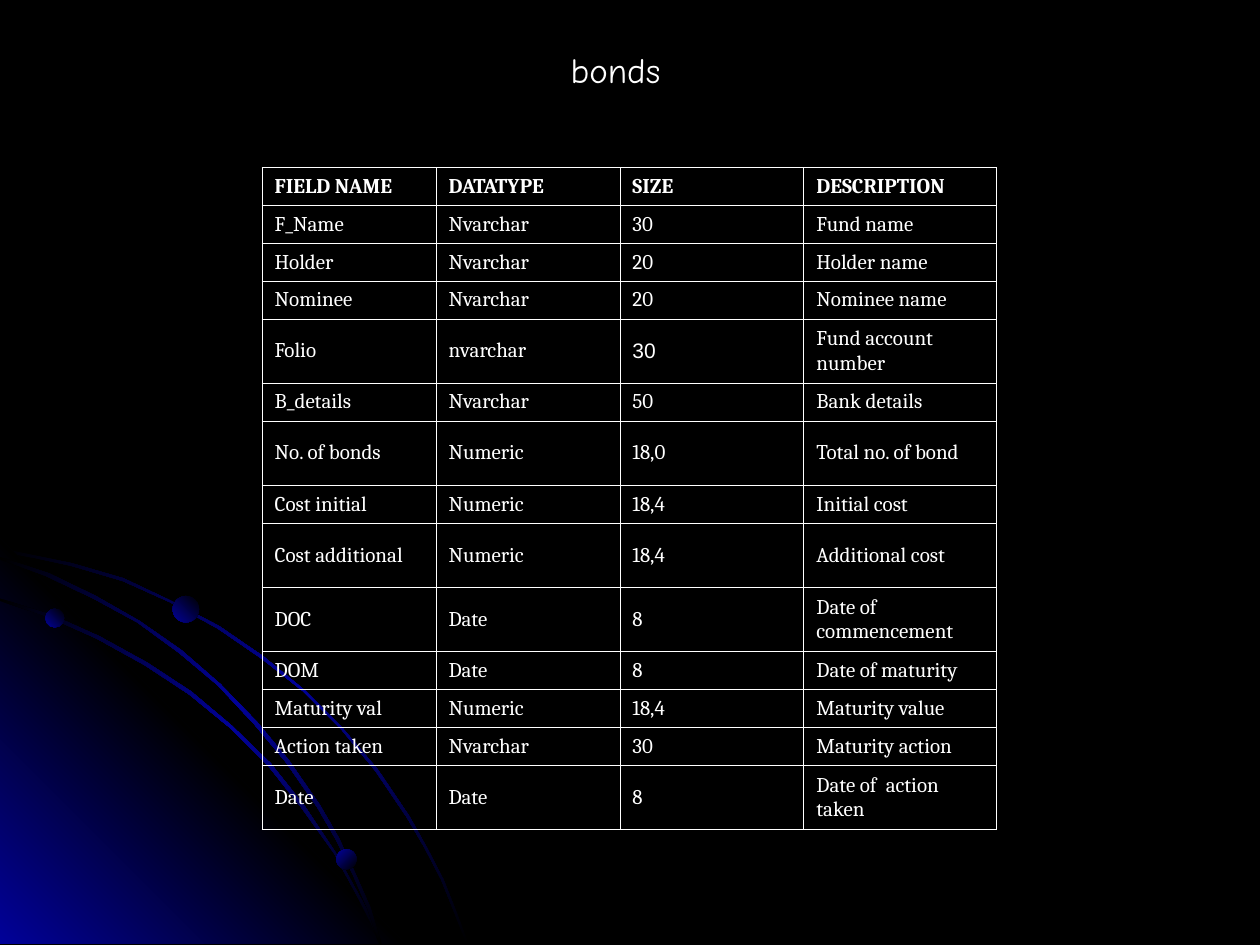
from dataclasses import dataclass

from lxml.etree import SubElement
from pptx import Presentation
from pptx.dml.color import RGBColor
from pptx.enum.shapes import MSO_SHAPE
from pptx.enum.text import MSO_ANCHOR, MSO_AUTO_SIZE
from pptx.oxml.ns import qn
from pptx.util import Inches, Pt


@dataclass(frozen=True)
class Theme:
    black: str = "000000"
    blue: str = "010199"
    white: str = "FFFFFF"
    title_font: str = "Comic Neue"
    table_font: str = "Cambria"
    number_font: str = "Arial"
    title_size: Pt = Pt(20)
    table_size: Pt = Pt(12)
    border_width: Pt = Pt(0.45)


THEME = Theme()
ARC_STOPS = [(0, THEME.black), (50, THEME.blue), (100, THEME.black)]
GLOW_STOPS = [(0, THEME.blue), (50, THEME.black), (100, THEME.blue)]
BEAD_STOPS = [(0, THEME.black), (100, THEME.blue)]

# Outlines are in hundredths of an inch.
GLOW = [(322, 749), (0, 749), (0, 427)]
OUTER_ARC = [
    (57, 447), (28, 441), (0, 435), (0, 438), (28, 443), (56, 449), (97, 461),
    (135, 478), (173, 499), (208, 523), (241, 549), (271, 579), (298, 612),
    (323, 649), (337, 673), (350, 698), (360, 723), (370, 749), (372, 749),
    (362, 723), (352, 698), (339, 673), (325, 648), (300, 611), (272, 578),
    (242, 548), (209, 521), (174, 497), (136, 477), (98, 459),
]
INNER_ARC = [
    (285, 714), (294, 732), (301, 749), (303, 749), (296, 730), (286, 712),
    (266, 676), (242, 640), (215, 606), (184, 576), (152, 549), (117, 526),
    (79, 505), (41, 488), (0, 475), (0, 477), (39, 490), (77, 507),
    (115, 528), (150, 551), (183, 578), (213, 608), (240, 642), (265, 677),
]
MIDDLE_ARC = [
    (0, 442), (0, 444), (36, 457), (74, 475), (109, 494), (142, 518),
    (173, 544), (202, 575), (227, 605), (252, 641), (267, 667), (280, 694),
    (292, 722), (301, 749), (303, 749), (294, 720), (282, 693), (269, 665),
    (254, 639), (229, 603), (204, 573), (175, 543), (144, 516), (111, 493),
    (76, 473), (39, 455),
]
OUTLINES = [
    (OUTER_ARC, ARC_STOPS, 225),
    (GLOW, GLOW_STOPS, 135),
    (INNER_ARC, ARC_STOPS, 225),
    (MIDDLE_ARC, ARC_STOPS, 225),
]
BEADS = [  # left, top, diameter, gradient angle
    (0.36, 4.83, 0.15, 135),
    (2.67, 6.74, 0.16, 225),
    (1.37, 4.73, 0.21, 135),
]

FIELDS = [
    ("FIELD NAME", "DATATYPE", "SIZE", "DESCRIPTION"),
    ("F_Name", "Nvarchar", "30", "Fund name"),
    ("Holder", "Nvarchar", "20", "Holder name"),
    ("Nominee", "Nvarchar", "20", "Nominee name"),
    ("Folio", "nvarchar", "30", "Fund account number"),
    ("B_details", "Nvarchar", "50", "Bank details"),
    ("No. of bonds", "Numeric", "18,0", "Total no. of bond"),
    ("Cost initial", "Numeric", "18,4", "Initial cost"),
    ("Cost additional", "Numeric", "18,4", "Additional cost"),
    ("DOC", "Date", "8", "Date of commencement"),
    ("DOM", "Date", "8", "Date of maturity"),
    ("Maturity val", "Numeric", "18,4", "Maturity value"),
    ("Action taken", "Nvarchar", "30", "Maturity action"),
    ("Date", "Date", "8", "Date of  action taken"),
]
COLUMN_WIDTHS = [1.38, 1.46, 1.46, 1.53]
TALL_ROWS = {"Folio", "No. of bonds", "Cost additional", "DOC", "Date"}
ROW_HEIGHT, TALL_HEIGHT = 0.3, 0.51


def paint_gradient(shape, stops, angle):
    """Fill with (percent, colour) stops; the angle runs clockwise."""
    shape.shadow.inherit = False
    shape.line.fill.background()
    shape.fill.gradient()
    shape.fill.gradient_angle = 360 - angle
    stop_list = next(shape.element.iter(qn("a:gsLst")))
    for old_stop in list(stop_list):
        stop_list.remove(old_stop)
    for percent, colour in stops:
        stop = SubElement(stop_list, qn("a:gs"), pos=str(percent * 1000))
        SubElement(stop, qn("a:srgbClr"), val=colour)


def add_outline(shapes, points, stops, angle):
    builder = shapes.build_freeform(*points[0], scale=Inches(0.01))
    builder.add_line_segments(points[1:], close=True)
    paint_gradient(builder.convert_to_shape(), stops, angle)


def add_bead(shapes, left, top, diameter, angle):
    bead = shapes.add_shape(MSO_SHAPE.OVAL, Inches(left), Inches(top),
                            Inches(diameter), Inches(diameter))
    paint_gradient(bead, BEAD_STOPS, angle)


def add_decoration(slide):
    shapes = slide.shapes.add_group_shape().shapes
    for outline in OUTLINES:
        add_outline(shapes, *outline)
    for bead in BEADS:
        add_bead(shapes, *bead)


def style_text(paragraph, font_name, size, bold=False):
    font = paragraph.font
    font.name, font.size, font.bold = font_name, size, bold
    font.color.rgb = RGBColor.from_string(THEME.white)


def add_title(slide, text):
    box = slide.shapes.add_textbox(Inches(4.43), Inches(0.33), Inches(1.01), Inches(0.44))
    frame = box.text_frame
    frame.word_wrap = False
    frame.auto_size = MSO_AUTO_SIZE.SHAPE_TO_FIT_TEXT
    frame.vertical_anchor = MSO_ANCHOR.MIDDLE
    frame.text = text
    style_text(frame.paragraphs[0], THEME.title_font, THEME.title_size)


def outline_cell(cell):
    properties = cell._tc.get_or_add_tcPr()
    for side in ("a:lnL", "a:lnR", "a:lnT", "a:lnB"):
        border = SubElement(properties, qn(side), w=str(int(THEME.border_width)))
        fill = SubElement(border, qn("a:solidFill"))
        SubElement(fill, qn("a:srgbClr"), val=THEME.white)


def fill_cell(cell, text, font_name, bold, space_before):
    outline_cell(cell)
    cell.fill.background()
    cell.vertical_anchor = MSO_ANCHOR.MIDDLE
    cell.text = text
    paragraph = cell.text_frame.paragraphs[0]
    paragraph.space_before = Pt(space_before)
    style_text(paragraph, font_name, THEME.table_size, bold)


def add_field_table(slide):
    heights = [TALL_HEIGHT if row[0] in TALL_ROWS else ROW_HEIGHT for row in FIELDS]
    table = slide.shapes.add_table(
        len(FIELDS), len(COLUMN_WIDTHS), Inches(2.08), Inches(1.33),
        Inches(sum(COLUMN_WIDTHS)), Inches(sum(heights))).table
    table.first_row = table.horz_banding = False
    for column, width in zip(table.columns, COLUMN_WIDTHS):
        column.width = Inches(width)
    for index, (values, height) in enumerate(zip(FIELDS, heights)):
        table.rows[index].height = Inches(height)
        is_folio = values[0] == "Folio"
        for position, text in enumerate(values):
            is_spaced = text == "8" or (is_folio and position > 0)
            font_name = THEME.number_font if is_folio and position == 2 else THEME.table_font
            fill_cell(table.cell(index, position), text, font_name,
                      bold=index == 0, space_before=3 if is_spaced else 0)


def main():
    presentation = Presentation()
    presentation.slide_width, presentation.slide_height = Inches(10), Inches(7.5)
    slide = presentation.slides.add_slide(presentation.slide_layouts[6])
    background = slide.background.fill
    background.solid()
    background.fore_color.rgb = RGBColor.from_string(THEME.black)
    add_decoration(slide)
    add_title(slide, "bonds")
    add_field_table(slide)
    presentation.save("out.pptx")


if __name__ == "__main__":
    main()
